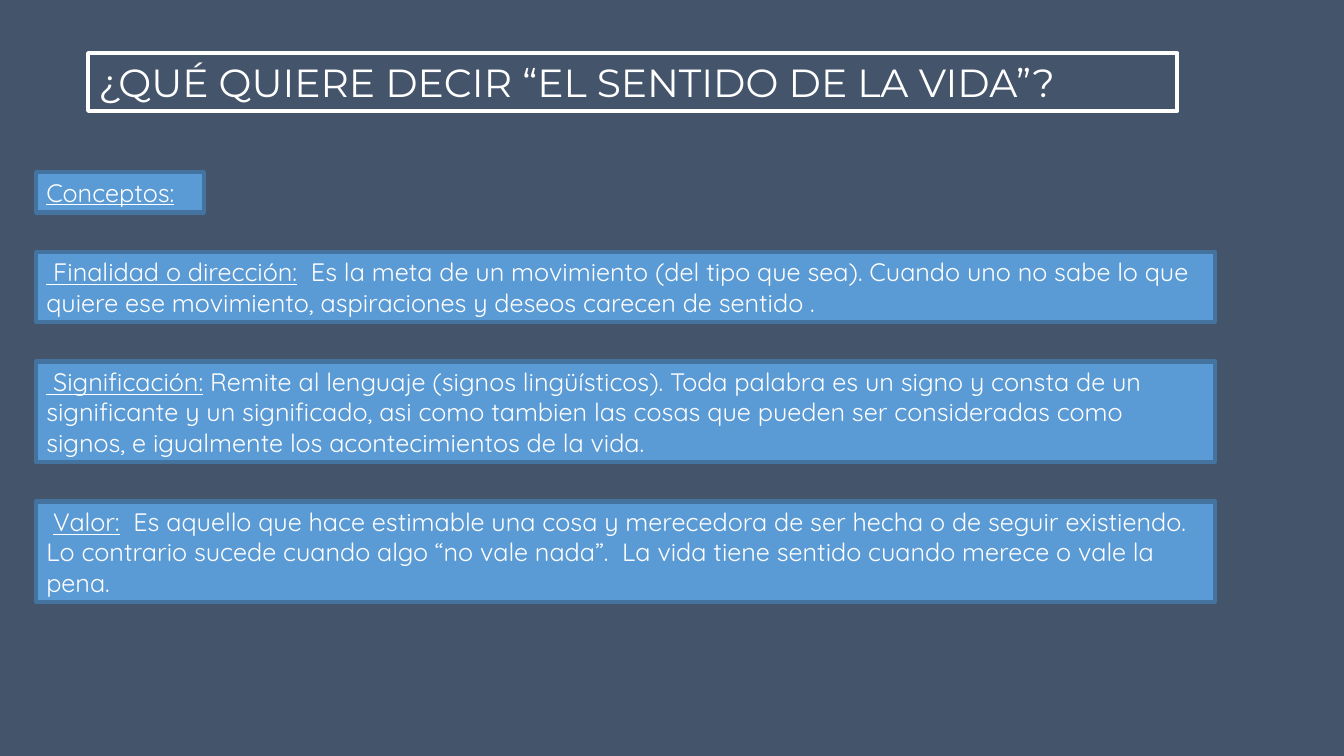
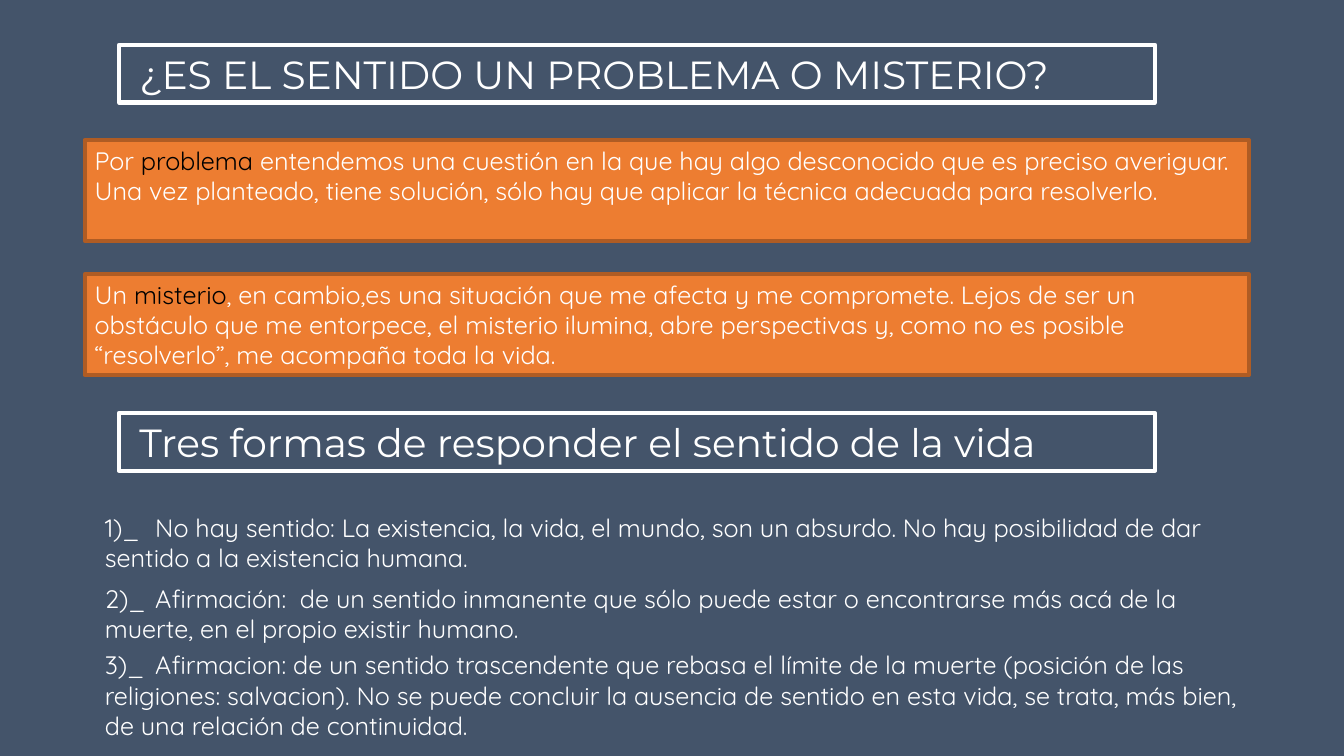
from dataclasses import dataclass

from lxml import etree
from pptx import Presentation
from pptx.dml.color import RGBColor
from pptx.enum import shapes, text
from pptx.oxml import ns
from pptx.util import Pt


@dataclass(frozen=True)
class Theme:
    background: str = "44546A"
    light: str = "FFFFFF"
    dark: str = "000000"
    blue: tuple = ("5B9BD5", "43739E")
    orange: tuple = ("ED7D31", "AF5C24")
    heading_font: str = "Montserrat"
    body_font: str = "Quicksand"
    heading_size: int = 28
    body_size: int = 18
    border: int = 3
    line_height: float = 21.6
    inset_x: float = 7.2
    inset_y: float = 3.6


TITLE_AND_BODY, TITLE_ONLY = 1, 5


class Deck:
    def __init__(self, theme):
        self.theme = theme
        self.slide = None
        self.presentation = Presentation()
        self.presentation.slide_width = Pt(960)
        self.presentation.slide_height = Pt(540)
        fill = self.presentation.slide_master.background.fill
        fill.solid()
        fill.fore_color.rgb = RGBColor.from_string(theme.background)

    def add_slide(self, layout):
        layouts = self.presentation.slide_layouts
        self.slide = self.presentation.slides.add_slide(layouts[layout])

    def place(self, shape, left, top, width, height, inset=None):
        """Set the position and the common text frame settings of a shape."""
        theme = self.theme
        shape.left, shape.top = Pt(left), Pt(top)
        shape.width, shape.height = Pt(width), Pt(height)
        frame = shape.text_frame
        frame.word_wrap = True
        frame.auto_size = text.MSO_AUTO_SIZE.NONE
        frame.vertical_anchor = text.MSO_ANCHOR.TOP
        frame.margin_left = Pt(theme.inset_x if inset is None else inset)
        frame.margin_right = Pt(theme.inset_x)
        frame.margin_top = frame.margin_bottom = Pt(theme.inset_y)
        return frame

    def rectangle(self):
        shape = self.slide.shapes.add_shape(
            shapes.MSO_SHAPE.RECTANGLE, 0, 0, 0, 0)
        shape.shadow.inherit = False
        return shape

    def outline(self, shape, color):
        shape.line.color.rgb = RGBColor.from_string(color)
        shape.line.width = Pt(self.theme.border)

    def add_run(self, paragraph, words, style=None, heading=False):
        theme = self.theme
        run = paragraph.add_run()
        run.text = words
        font = run.font
        font.name = theme.heading_font if heading else theme.body_font
        font.size = Pt(theme.heading_size if heading else theme.body_size)
        font.color.rgb = RGBColor.from_string(
            theme.dark if style == "key" else theme.light)
        if style == "underline":
            font.underline = True

    def heading(self, words, left, top, width, inset=None, shape=None):
        """Draw an outlined heading bar, by default in a new rectangle."""
        shape = shape or self.rectangle()
        frame = self.place(shape, left, top, width, 41.2, inset)
        shape.fill.background()
        self.outline(shape, self.theme.light)
        paragraph = frame.paragraphs[0]
        paragraph.alignment = text.PP_ALIGN.LEFT
        self.add_run(paragraph, words, heading=True)

    def title(self, words, left, top, width, inset=None):
        self.heading(words, left, top, width, inset, self.slide.shapes.title)

    def card(self, runs, colors, left, top, width, lines):
        """Draw a filled box of the given line count; return its bottom."""
        height = lines * self.theme.line_height + 2 * self.theme.inset_y
        shape = self.rectangle()
        frame = self.place(shape, left, top, width, height)
        fill, border = colors
        shape.fill.solid()
        shape.fill.fore_color.rgb = RGBColor.from_string(fill)
        self.outline(shape, border)
        paragraph = frame.paragraphs[0]
        paragraph.alignment = text.PP_ALIGN.LEFT
        for words, style in runs:
            self.add_run(paragraph, words, style)
        return top + height

    def numbered_list(self, items, left, top, width, height, tab):
        """Fill the body with (marker, words, space before) items."""
        frame = self.place(self.slide.placeholders[1], left, top, width, height)
        for index, (marker, words, space) in enumerate(items):
            paragraph = frame.add_paragraph() if index else frame.paragraphs[0]
            properties = paragraph._p.get_or_add_pPr()
            properties.set("marL", "0")
            properties.set("indent", "0")
            etree.SubElement(properties, ns.qn("a:buNone"))
            tabs = etree.SubElement(properties, ns.qn("a:tabLst"))
            etree.SubElement(tabs, ns.qn("a:tab"), pos=str(Pt(tab)), algn="l")
            paragraph.space_before = Pt(space)
            self.add_run(paragraph, f"{marker}\t{words}")


CONCEPTS = [
    (842, 2, [
        (" Finalidad o dirección:", "underline"),
        ("  Es la meta de un movimiento (del tipo que sea). Cuando uno no sabe "
         "lo que quiere ese movimiento, aspiraciones y deseos carecen de "
         "sentido .", None)]),
    (842, 3, [
        (" Significación:", "underline"),
        (" Remite al lenguaje (signos lingüísticos). Toda palabra es un signo y "
         "consta de un significante y un significado, asi como tambien las "
         "cosas que pueden ser consideradas como signos, e igualmente los "
         "acontecimientos de la vida.", None)]),
    (842, 3, [
        (" ", None),
        ("Valor:", "underline"),
        ("  Es aquello que hace estimable una cosa y merecedora de ser hecha o "
         "de seguir existiendo. Lo contrario sucede cuando algo “no vale "
         "nada”.  La vida tiene sentido cuando merece o vale la pena.", None)]),
]
CONCEPTS.insert(0, (119.5, 1, [("Conceptos:", "underline")]))

DEFINITIONS = [
    [("Por ", None), ("problema", "key"),
     (" entendemos una cuestión en la que hay algo desconocido que es preciso "
      "averiguar. Una vez planteado, tiene solución, sólo hay que aplicar la "
      "técnica adecuada para resolverlo.", None)],
    [("Un ", None), ("misterio", "key"),
     (", en cambio,es una situación que me afecta y me compromete. Lejos de "
      "ser un obstáculo que me entorpece, el misterio ilumina, abre "
      "perspectivas y, como no es posible “resolverlo”, me acompaña toda la "
      "vida.", None)],
]

ANSWERS = [
    ("1)_", "No hay sentido: La existencia, la vida, el mundo, son un absurdo. "
     "No hay posibilidad de dar sentido a la existencia humana.", 0),
    ("2)_", "Afirmación:  de un sentido inmanente que sólo puede estar o "
     "encontrarse más acá de la muerte, en el propio existir humano.", 8),
    ("3)_", "Afirmacion: de un sentido trascendente que rebasa el límite de la "
     "muerte (posición de las religiones: salvacion). No se puede concluir la "
     "ausencia de sentido en esta vida, se trata, más bien, de una relación de "
     "continuidad.", 4),
]


def concepts_slide(deck):
    deck.add_slide(TITLE_ONLY)
    deck.title("¿QUÉ QUIERE DECIR “EL SENTIDO DE LA VIDA”?", 63, 38, 778)
    top, gap = 123, 28
    for width, lines, runs in CONCEPTS:
        top = deck.card(runs, deck.theme.blue, 26, top, width, lines) + gap


def mystery_slide(deck):
    deck.add_slide(TITLE_AND_BODY)
    left, width, inset = 85, 740, 14.5
    deck.title("¿ES EL SENTIDO UN PROBLEMA O MISTERIO?", left, 32, width, inset)
    top, gap = 100, 24
    for runs in DEFINITIONS:
        top = deck.card(runs, deck.theme.orange, 60.5, top, 831.5, 3) + gap
    deck.heading("Tres formas de responder el sentido de la vida",
                 left, 295, width, inset)
    deck.numbered_list(ANSWERS, 67.7, 362, 824.5, 171, tab=38)


def main():
    deck = Deck(Theme())
    concepts_slide(deck)
    mystery_slide(deck)
    deck.presentation.save("out.pptx")


if __name__ == "__main__":
    main()
